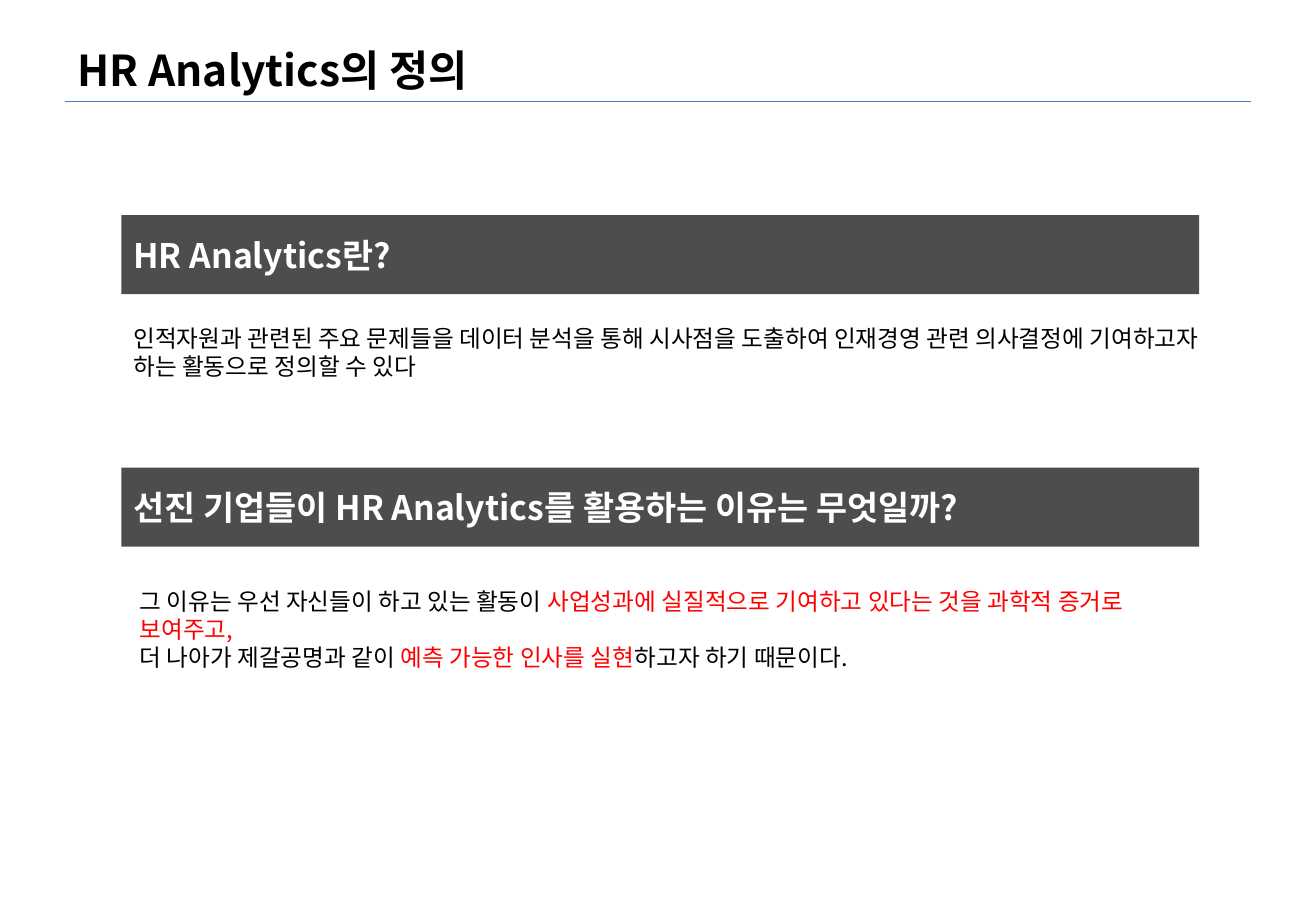
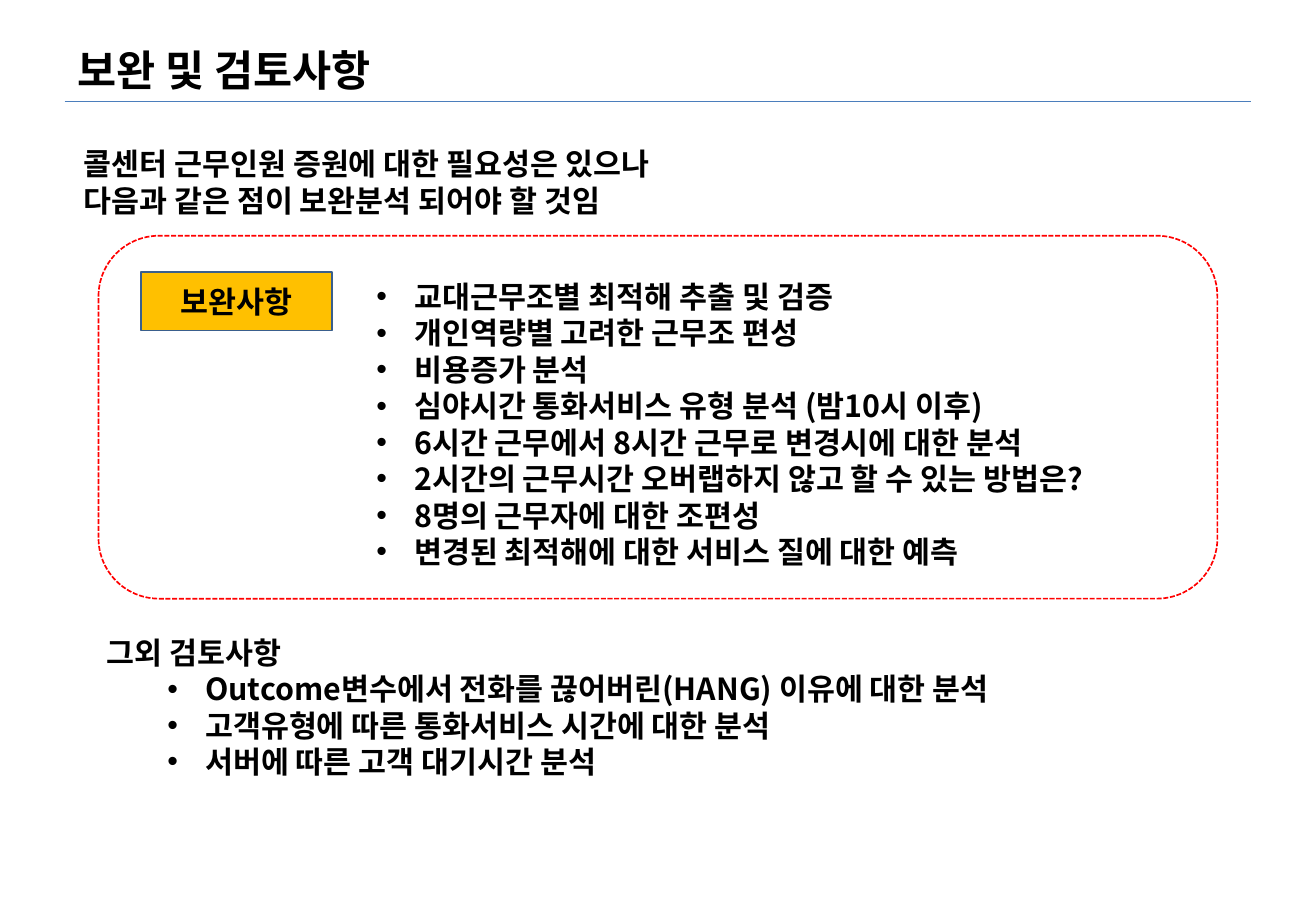
from dataclasses import dataclass
from typing import Optional, Sequence

from lxml import etree
from pptx import Presentation
from pptx import util as u
from pptx.dml.color import RGBColor
from pptx.enum import dml, shapes, text
from pptx.oxml import ns

FONT = "Noto Sans CJK KR"
COLOURS = {
    "ink": "000000",
    "paper": "FFFFFF",
    "band": "4D4D4D",
    "accent": "FF0000",
    "label": "FFC000",
    "label_edge": "3A5F8C",
    "rule": "4B7EBC",
}
HANGING = 0.79


@dataclass(frozen=True)
class Place:
    """Position and size in centimetres."""
    left: float
    top: float
    width: float
    height: float

    def lengths(self) -> tuple:
        return tuple(u.Cm(v) for v in (self.left, self.top, self.width, self.height))


@dataclass(frozen=True)
class Span:
    words: str
    colour: Optional[str] = None


@dataclass(frozen=True)
class Line:
    spans: Sequence[Span]
    bullet_margin: float = 0
    level: int = 0


@dataclass(frozen=True)
class Section:
    heading: str
    band_top: float
    body_place: Place
    body: Sequence[Line]


TITLE = Place(1.37, 0.76, 24.77, 1.37)
RULE_LEFT, RULE_RIGHT, RULE_TOP = 1.35, 26.16, 2.13


def rgb(name: str) -> RGBColor:
    return RGBColor.from_string(COLOURS[name])


def plain(words: str) -> Line:
    return Line((Span(words),))


def bulleted(items: Sequence[str], margin: float = HANGING, level: int = 0) -> list:
    return [Line((Span(item),), margin, level) for item in items]


def write(frame, lines: Sequence[Line], *, size: float = 18, bold: bool = True,
          colour: str = "ink", align=text.PP_ALIGN.LEFT,
          anchor=text.MSO_ANCHOR.MIDDLE, fit=text.MSO_AUTO_SIZE.NONE) -> None:
    """Fill a text frame with formatted paragraphs."""
    frame.word_wrap = True
    frame.auto_size = fit
    frame.vertical_anchor = anchor
    for index, line in enumerate(lines):
        para = frame.add_paragraph() if index else frame.paragraphs[0]
        para.alignment = align
        para.level = line.level
        if line.bullet_margin:
            props = para._p.get_or_add_pPr()
            props.set("marL", str(u.Cm(line.bullet_margin)))
            props.set("indent", str(-u.Cm(HANGING)))
            etree.SubElement(props, ns.qn("a:buFont")).set("typeface", "Arial")
            etree.SubElement(props, ns.qn("a:buChar")).set("char", "•")
        for part in line.spans:
            span = para.add_run()
            span.text = part.words
            span.font.size = u.Pt(size)
            span.font.bold = bold
            span.font.name = FONT
            span.font.color.rgb = rgb(part.colour or colour)
            east_asian = etree.SubElement(span._r.get_or_add_rPr(), ns.qn("a:ea"))
            east_asian.set("typeface", FONT)


def add_text(page, place: Place, lines: Sequence[Line], **style) -> None:
    box = page.shapes.add_textbox(*place.lengths())
    write(box.text_frame, lines, anchor=text.MSO_ANCHOR.TOP,
          fit=text.MSO_AUTO_SIZE.SHAPE_TO_FIT_TEXT, **style)


def add_panel(page, place: Place, *, kind=shapes.MSO_SHAPE.RECTANGLE,
              fill: Optional[str] = None, edge: Optional[str] = None,
              weight: float = 0.75):
    panel = page.shapes.add_shape(kind, *place.lengths())
    panel.shadow.inherit = False
    if fill:
        panel.fill.solid()
        panel.fill.fore_color.rgb = rgb(fill)
    else:
        panel.fill.background()
    if edge:
        panel.line.color.rgb = rgb(edge)
        panel.line.width = u.Pt(weight)
    else:
        panel.line.fill.background()
    return panel


def add_page(deck, heading: str):
    """Start a slide with the shared title and the rule under it."""
    page = deck.slides.add_slide(deck.slide_layouts[5])
    title = page.shapes.title
    title.left, title.top, title.width, title.height = TITLE.lengths()
    write(title.text_frame, [plain(heading)], size=25.2)
    rule = page.shapes.add_connector(
        shapes.MSO_CONNECTOR.STRAIGHT, u.Cm(RULE_LEFT), u.Cm(RULE_TOP),
        u.Cm(RULE_RIGHT), u.Cm(RULE_TOP))
    rule.line.color.rgb = rgb("rule")
    rule.line.width = u.Pt(0.75)
    etree.SubElement(rule._element.spPr, ns.qn("a:effectLst"))
    return page


def build_definition(deck) -> None:
    page = add_page(deck, "HR Analytics의 정의")
    sections = [
        Section("HR Analytics란?", 4.5, Place(2.54, 6.65, 23.29, 1.45), [
            plain("인적자원과 관련된 주요 문제들을 데이터 분석을 통해 시사점을 도출하여 "
                  "인재경영 관련 의사결정에 기여하고자 하는 활동으로 정의할 수 있다"),
        ]),
        Section("선진 기업들이 HR Analytics를 활용하는 이유는 무엇일까?", 9.78,
                Place(2.67, 12.14, 22.43, 2.06), [
            Line((Span("그 이유는 우선 자신들이 하고 있는 활동이 "),
                  Span("사업성과에 실질적으로 기여하고 있다는 것을 과학적 증거로 보여주고,",
                       "accent"))),
            Line((Span("더 나아가 제갈공명과 같이 "),
                  Span("예측 가능한 인사를 실현", "accent"),
                  Span("하고자 하기 때문이다."))),
        ]),
    ]
    for section in sections:
        band = add_panel(page, Place(2.54, section.band_top, 22.53, 1.65), fill="band")
        write(band.text_frame, [plain(section.heading)], size=20, colour="paper")
        add_text(page, section.body_place, section.body, size=14, bold=False)


def build_review(deck) -> None:
    page = add_page(deck, "보완 및 검토사항")

    # Further points to review
    add_text(page, Place(1.98, 13.13, 20.45, 3.33), [
        plain("그외 검토사항"),
        *bulleted([
            "Outcome변수에서 전화를 끊어버린(HANG) 이유에 대한 분석",
            "고객유형에 따른 통화서비스 시간에 대한 분석",
            "서버에 따른 고객 대기시간 분석",
        ], margin=2.06, level=1),
    ])

    # Framed list of improvements with its label
    label = add_panel(page, Place(2.95, 5.69, 3.99, 1.22),
                      fill="label", edge="label_edge")
    write(label.text_frame, [plain("보완사항")], align=text.PP_ALIGN.CENTER)
    add_text(page, Place(7.62, 5.69, 16.99, 6.4), bulleted([
        "교대근무조별 최적해 추출 및 검증",
        "개인역량별 고려한 근무조 편성",
        "비용증가 분석",
        "심야시간 통화서비스 유형 분석 (밤10시 이후)",
        "6시간 근무에서 8시간 근무로 변경시에 대한 분석",
        "2시간의 근무시간 오버랩하지 않고 할 수 있는 방법은?",
        "8명의 근무자에 대한 조편성",
        "변경된 최적해에 대한 서비스 질에 대한 예측",
    ]))
    border = add_panel(page, Place(2.06, 4.93, 23.39, 7.59),
                       kind=shapes.MSO_SHAPE.ROUNDED_RECTANGLE,
                       edge="accent", weight=1)
    border.line.dash_style = dml.MSO_LINE.SQUARE_DOT

    # Lead sentence
    add_text(page, Place(1.5, 2.92, 19.74, 1.8), [
        plain("콜센터 근무인원 증원에 대한 필요성은 있으나"),
        plain("다음과 같은 점이 보완분석 되어야 할 것임"),
    ])


def main() -> None:
    deck = Presentation()
    deck.slide_width, deck.slide_height = u.Cm(27.51), u.Cm(19.05)
    build_definition(deck)
    build_review(deck)
    deck.save("out.pptx")


main()
